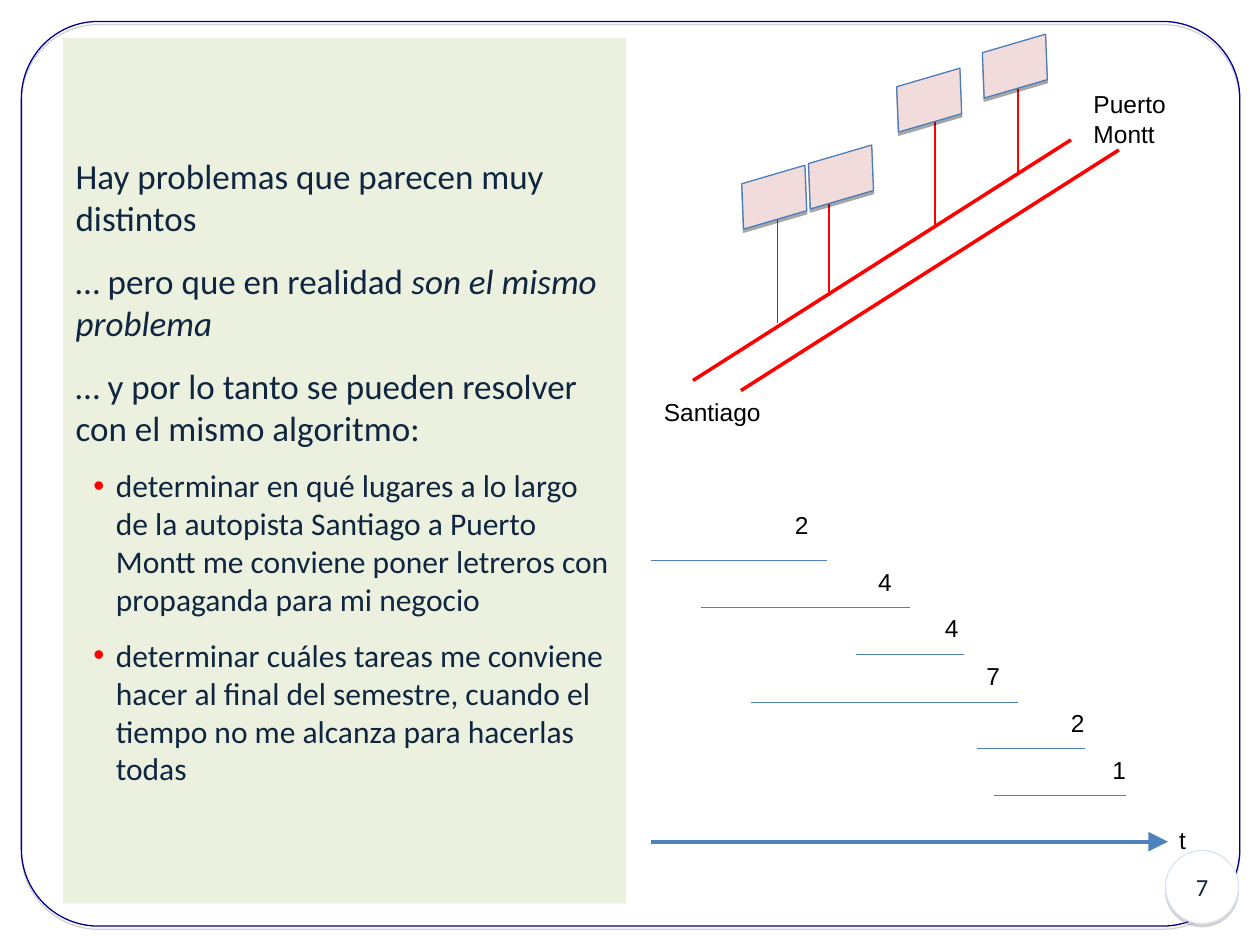
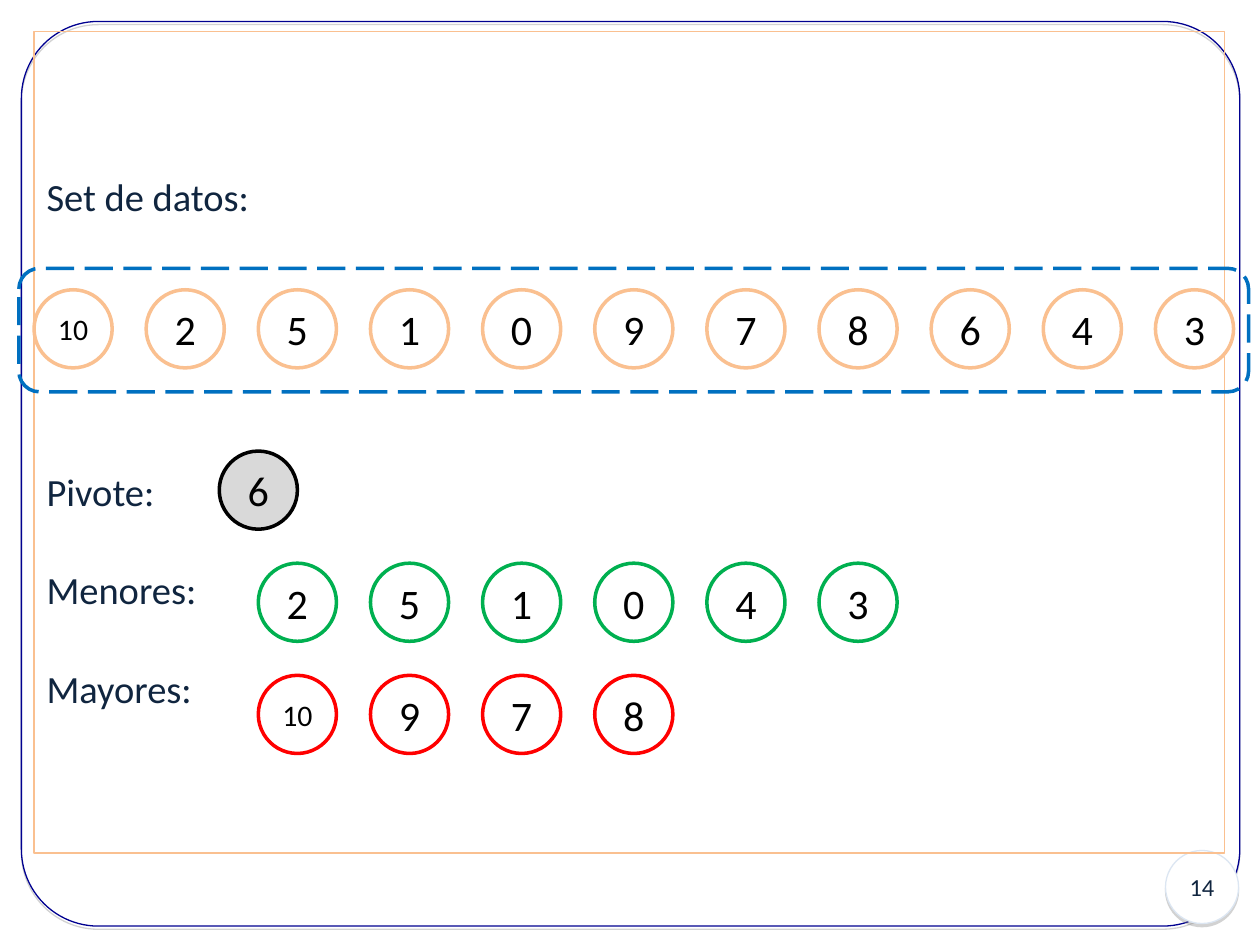
from dataclasses import dataclass
from typing import Any, NamedTuple

from lxml.etree import SubElement
from pptx import Presentation
from pptx.dml.color import RGBColor
from pptx.enum.dml import MSO_LINE
from pptx.enum.shapes import MSO_CONNECTOR, MSO_SHAPE
from pptx.enum.text import MSO_ANCHOR, MSO_AUTO_SIZE, PP_ALIGN
from pptx.oxml.ns import qn
from pptx.util import Emu, Pt

SCALE = 9144


@dataclass(frozen=True)
class Theme:
    sans: str = "Calibri"
    plain: str = "Arial"
    ink: str = "10253F"
    black: str = "000000"
    white: str = "FFFFFF"
    navy: str = "000090"
    gray: str = "808080"
    pale: str = "DCE6F2"
    moss: str = "EBF1DE"
    blue: str = "4F81BD"
    edge: str = "4A7EBB"
    pink: str = "F2DCDB"
    red: str = "FF0000"
    peach: str = "FAC090"
    green: str = "00B050"
    sky: str = "0070C0"
    silver: str = "D9D9D9"
    small: int = 14
    tight: int = 17
    point: int = 18
    text: int = 20
    large: int = 22
    digit: int = 24


T = Theme()


class Box(NamedTuple):
    left: int
    top: int
    width: int
    height: int


class Look(NamedTuple):
    fill: str | None = None
    line: str | None = None
    weight: float = 0.75
    shade: str | None = None


class Para(NamedTuple):
    text: str
    size: int
    gap: float = 0
    slant: str = ""
    dot: bool = False


class Task(NamedTuple):
    start: int
    end: int
    label: int
    value: str
    lift: int = 37


class Row(NamedTuple):
    digits: tuple[int, ...]
    left: int
    top: int
    look: Look


def px(size: float) -> Emu:
    return Emu(round(size * SCALE))


def tint(code: str) -> RGBColor:
    return RGBColor.from_string(code)


def put(item: Any, form: dict[str, Any]) -> None:
    for name, value in form.items():
        setattr(item, name, value)


def style(font: Any, size: int, face: str, color: str) -> None:
    put(font, {"size": Pt(size), "name": face})
    font.color.rgb = tint(color)


def paint(shape: Any, look: Look) -> None:
    if look.fill:
        shape.fill.solid()
        shape.fill.fore_color.rgb = tint(look.fill)
    else:
        shape.fill.background()
    if look.line:
        shape.line.color.rgb = tint(look.line)
        shape.line.width = Pt(look.weight)
    else:
        shape.line.fill.background()
    shape.shadow.inherit = False
    if look.shade:
        list_ = shape.element.spPr.find(qn("a:effectLst"))
        cast = SubElement(list_, qn("a:outerShdw"), blurRad="0", dist="22860",
                          dir="5400000", rotWithShape="0")
        color = SubElement(cast, qn("a:srgbClr"), val=look.shade)
        SubElement(color, qn("a:alpha"), val="35000")


def draw(slide: Any, kind: MSO_SHAPE, box: Box, look: Look, bend: float | None = None) -> Any:
    shape = slide.shapes.add_shape(kind, *map(px, box))
    paint(shape, look)
    if bend is not None:
        shape.adjustments[0] = bend
    return shape


def disk(slide: Any, box: Box, look: Look, text: str, size: int, color: str) -> None:
    frame = draw(slide, MSO_SHAPE.OVAL, box, look).text_frame
    put(frame, {"word_wrap": False, "vertical_anchor": MSO_ANCHOR.MIDDLE})
    para = frame.paragraphs[0]
    put(para, {"text": text, "alignment": PP_ALIGN.CENTER})
    style(para.font, size, T.sans, color)


def link(slide: Any, x1: int, y1: int, x2: int, y2: int, color: str,
         weight: float, arrow: bool = False) -> None:
    line = slide.shapes.add_connector(MSO_CONNECTOR.STRAIGHT, *map(px, (x1, y1, x2, y2)))
    line.line.color.rgb = tint(color)
    line.line.width = Pt(weight)
    props = line.element.spPr
    if arrow:
        SubElement(props.find(qn("a:ln")), qn("a:tailEnd"), type="triangle",
                   w="lg", len="lg")
    SubElement(props, qn("a:effectLst"))


def label(slide: Any, box: Box, *lines: str) -> None:
    frame = slide.shapes.add_textbox(*map(px, box)).text_frame
    put(frame, {"text": "\n".join(lines), "word_wrap": False})
    for para in frame.paragraphs:
        style(para.font, T.small, T.plain, T.black)


def write(frame: Any, paras: list[Para]) -> None:
    put(frame, {"word_wrap": True, "auto_size": MSO_AUTO_SIZE.NONE,
                "vertical_anchor": MSO_ANCHOR.MIDDLE})
    for i, data in enumerate(paras):
        para = frame.paragraphs[0] if i == 0 else frame.add_paragraph()
        para.level = int(data.dot)
        props = para._p.get_or_add_pPr()
        props.set("marL", str(px(32 if data.dot else 0)))
        props.set("indent", str(px(-18 if data.dot else 0)))
        if data.dot:
            SubElement(SubElement(props, qn("a:buClr")), qn("a:srgbClr"), val=T.red)
            SubElement(props, qn("a:buFont"), typeface=T.plain)
            SubElement(props, qn("a:buChar"), char="•")
        else:
            SubElement(props, qn("a:buNone"))
        para.space_before = Pt(data.gap)
        for text, slant in ((data.text, False), (data.slant, True)):
            if text:
                run = para.add_run()
                run.text = text
                style(run.font, data.size, T.sans, T.ink)
                if slant:
                    run.font.italic = True


def start(deck: Any, number: int, box: Box, look: Look, paras: list[Para]) -> Any:
    slide = deck.slides.add_slide(deck.slide_layouts[1])
    title = slide.shapes.title.element
    title.getparent().remove(title)
    disk(slide, Box(925, 675, 58, 58), Look(T.white, T.pale, shade=T.gray),
         str(number), T.small, T.ink)
    body = slide.placeholders[1]
    put(body, dict(zip(Box._fields, map(px, box))))
    paint(body, look)
    write(body.text_frame, paras)
    slide.shapes.element.append(body.element)
    return slide


def border(deck: Any, slide: Any) -> None:
    frame = draw(slide, MSO_SHAPE.ROUNDED_RECTANGLE, Box(17, 17, 967, 718),
                 Look(line=T.navy, shade=T.gray), 0.085)
    frame.element.nvSpPr.cNvPr.id = 20
    deck.slide_master.shapes.element.append(frame.element)


def chart_tasks(slide: Any) -> None:
    tasks = [
        Task(517, 656, 621, "2", 45),
        Task(556, 722, 687, "4"),
        Task(679, 765, 740, "4"),
        Task(596, 808, 773, "7"),
        Task(775, 861, 840, "2"),
        Task(789, 894, 873, "1"),
    ]
    first, step = 445, 37.2
    for i, task in enumerate(tasks):
        y = round(first + i * step)
        link(slide, task.start, y, task.end, y, T.blue, 0.25)
        label(slide, Box(task.label, y - task.lift, 31, 34), task.value)
    base = round(first + len(tasks) * step)
    link(slide, 517, base, 927, base, T.blue, 2.25, True)
    label(slide, Box(926, 650, 25, 34), "t")


def draw_road(slide: Any) -> None:
    for x, y in ((550, 302), (588, 310)):
        link(slide, x, y, x + 300, y - 191, T.red, 2)
    label(slide, Box(517, 310, 110, 34), "Santiago")
    label(slide, Box(858, 66, 95, 57), "Puerto", "Montt")
    for x, y in ((617, 172), (658, 151), (742, 96), (808, 54)):
        link(slide, x, y, x, y + 84, T.red, 0.75)
    for x, y in ((584, 139), (637, 123), (707, 62), (775, 35)):
        sign = draw(slide, MSO_SHAPE.PARALLELOGRAM, Box(x, y, 61, 35),
                    Look(T.pink, T.edge, shade=T.black), 0.25)
        sign.rotation = 343.7


def same_slide(deck: Any) -> None:
    slide = start(deck, 7, Box(50, 30, 447, 687), Look(T.moss), [
        Para("Hay problemas que parecen muy distintos", T.text),
        Para("… pero que en realidad ", T.text, 12, "son el mismo problema"),
        Para("… y por lo tanto se pueden resolver con el mismo algoritmo:", T.text, 12),
        Para("determinar en qué lugares a lo largo de la autopista Santiago a Puerto Montt "
             "me conviene poner letreros con propaganda para mi negocio",
             T.point, 10.5, dot=True),
        Para("determinar cuáles tareas me conviene hacer al final del semestre, cuando el "
             "tiempo no me alcanza para hacerlas todas", T.point, 10.5, dot=True),
    ])
    border(deck, slide)
    chart_tasks(slide)
    draw_road(slide)


def pivot_slide(deck: Any) -> None:
    slide = start(deck, 14, Box(27, 25, 945, 652), Look(line=T.peach), [
        Para("Set de datos:", T.large),
        Para("Pivote:", T.large, 142),
        Para("Menores:", T.large, 30),
        Para("Mayores:", T.large, 30),
    ])
    size, pitch = 62, 89
    rows = [
        Row((10, 2, 5, 1, 0, 9, 7, 8, 6, 4, 3), 27, 230, Look(T.white, T.peach, 2)),
        Row((6,), 174, 358, Look(T.silver, T.black, 2)),
        Row((2, 5, 1, 0, 4, 3), 205, 447, Look(T.white, T.green, 2)),
        Row((10, 9, 7, 8), 205, 536, Look(T.white, T.red, 2)),
    ]
    for row in rows:
        for i, digit in enumerate(row.digits):
            disk(slide, Box(row.left + i * pitch, row.top, size, size), row.look,
                 str(digit), T.tight if digit > 9 else T.digit, T.black)
    ring = draw(slide, MSO_SHAPE.ROUNDED_RECTANGLE, Box(15, 213, 976, 98),
                Look(line=T.sky, weight=2), 0.167)
    ring.line.dash_style = MSO_LINE.LONG_DASH


def main() -> None:
    deck = Presentation()
    put(deck, {"slide_width": px(1000), "slide_height": px(750)})
    same_slide(deck)
    pivot_slide(deck)
    deck.save("out.pptx")


if __name__ == "__main__":
    main()
